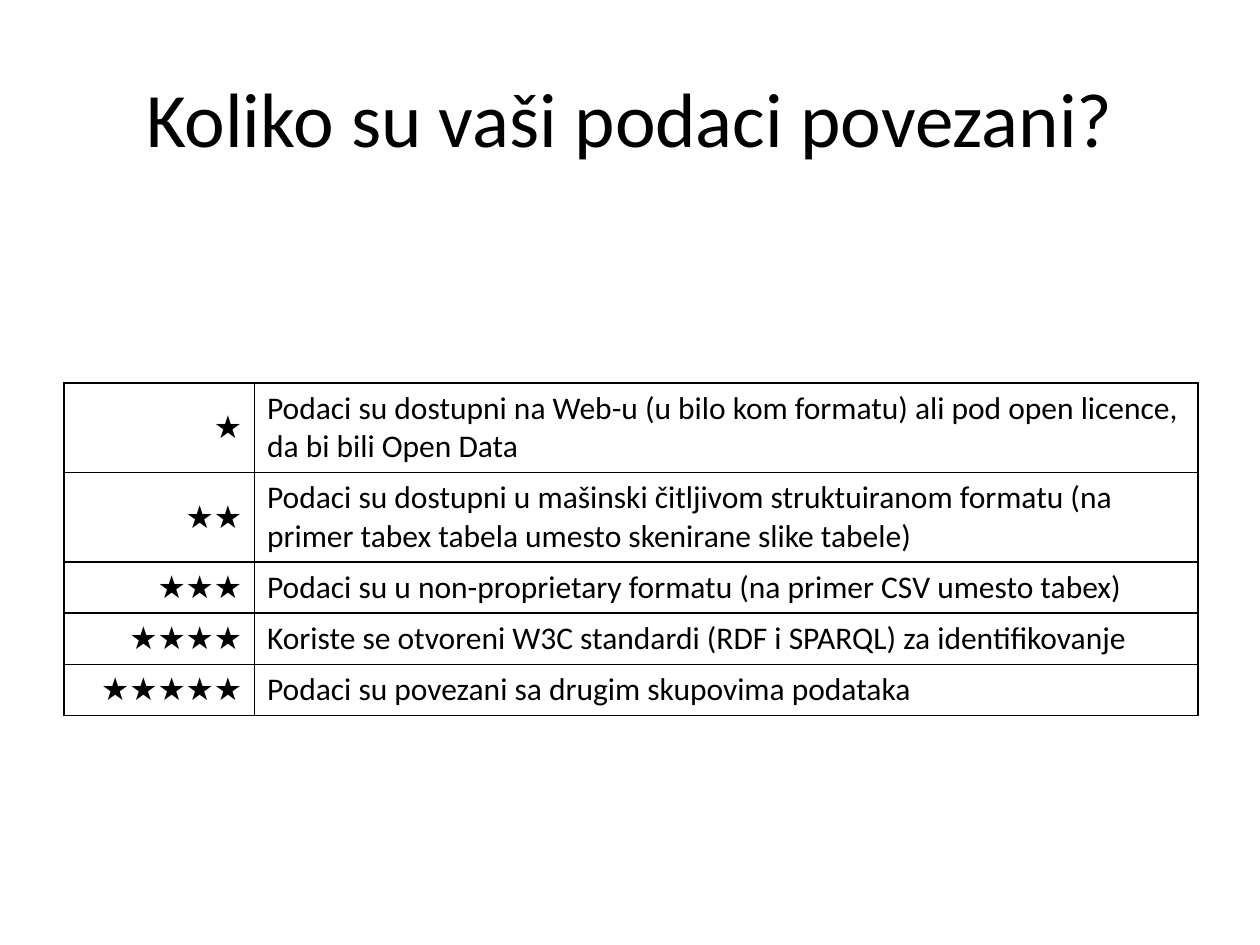
from pptx import Presentation
from pptx.dml.color import RGBColor
from pptx.enum.text import MSO_ANCHOR, PP_ALIGN
from pptx.oxml import parse_xml
from pptx.oxml.ns import nsdecls
from pptx.util import Inches, Pt

BLACK = RGBColor(0x00, 0x00, 0x00)
TITLE_ONLY = 5
STAR_LEVELS = [
    "Podaci su dostupni na Web-u (u bilo kom formatu) ali pod open licence, da bi bili Open Data",
    "Podaci su dostupni u mašinski čitljivom struktuiranom formatu "
    "(na primer tabex tabela umesto skenirane slike tabele)",
    "Podaci su u non-proprietary formatu (na primer CSV umesto tabex)",
    "Koriste se otvoreni W3C standardi (RDF i SPARQL) za identifikovanje",
    "Podaci su povezani sa drugim skupovima podataka",
]
ROW_HEIGHTS = [0.71, 0.71, 0.4, 0.4, 0.4]


class SlideBuilder:
    def __init__(self, deck, font="Calibri", color=BLACK):
        self.page = deck.slides.add_slide(deck.slide_layouts[TITLE_ONLY])
        self.font = font
        self.color = color

    def set_text(self, frame, text, size, align):
        frame.text = text
        para = frame.paragraphs[0]
        para.alignment = align
        for span in para.runs:
            span.font.name = self.font
            span.font.size = Pt(size)
            span.font.color.rgb = self.color

    def title(self, text, left, top, width, height):
        box = self.page.shapes.title
        box.left, box.top = Inches(left), Inches(top)
        box.width, box.height = Inches(width), Inches(height)
        box.text_frame.vertical_anchor = MSO_ANCHOR.MIDDLE
        self.set_text(box.text_frame, text, 44, PP_ALIGN.CENTER)

    def border(self, cell, points=1):
        """Draw all four sides; the lines must come before the cell's fill."""
        properties = cell._tc.get_or_add_tcPr()
        for position, side in enumerate(("lnL", "lnR", "lnT", "lnB")):
            line = parse_xml(
                f'<a:{side} {nsdecls("a")} w="{Pt(points)}"><a:solidFill>'
                f'<a:srgbClr val="{self.color}"/></a:solidFill></a:{side}>')
            properties.insert(position, line)

    def table(self, rows, left, top, column_widths, row_heights, aligns):
        frame = self.page.shapes.add_table(
            len(rows), len(column_widths), Inches(left), Inches(top),
            Inches(sum(column_widths)), Inches(sum(row_heights)))
        grid = frame.table
        grid.first_row = grid.horz_banding = False
        for column, width in zip(grid.columns, column_widths):
            column.width = Inches(width)
        for row, height, texts in zip(grid.rows, row_heights, rows):
            row.height = Inches(height)
            for cell, text, align in zip(row.cells, texts, aligns):
                cell.fill.background()
                cell.vertical_anchor = MSO_ANCHOR.MIDDLE
                self.set_text(cell.text_frame, text, 18, align)
                self.border(cell)


def main():
    deck = Presentation()
    deck.slide_width, deck.slide_height = Inches(10), Inches(7.5)
    slide = SlideBuilder(deck)
    slide.title("Koliko su vaši podaci povezani?", 0.5, 0.3, 9, 1.25)
    rows = [("★" * stars, text) for stars, text in enumerate(STAR_LEVELS, 1)]
    slide.table(rows, 0.51, 3.04, [1.51, 7.49], ROW_HEIGHTS,
                [PP_ALIGN.RIGHT, PP_ALIGN.LEFT])
    deck.save("out.pptx")


if __name__ == "__main__":
    main()
